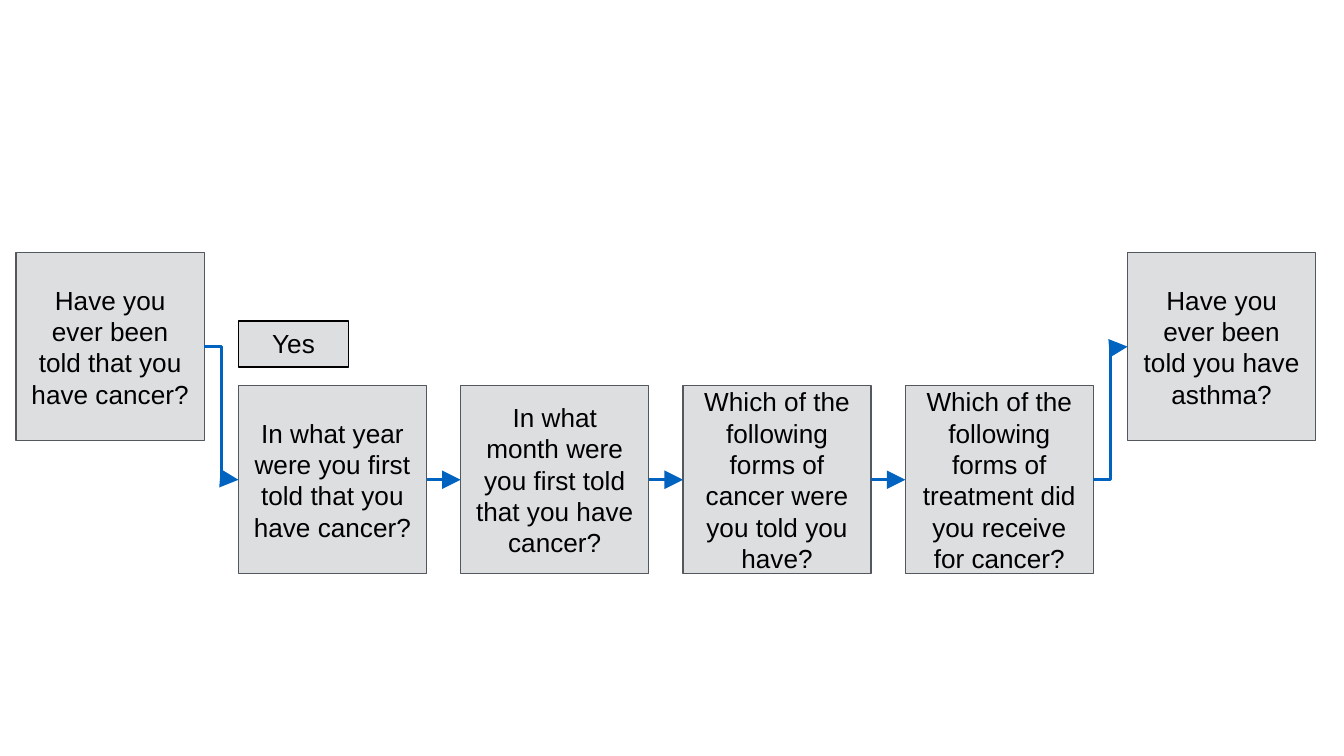
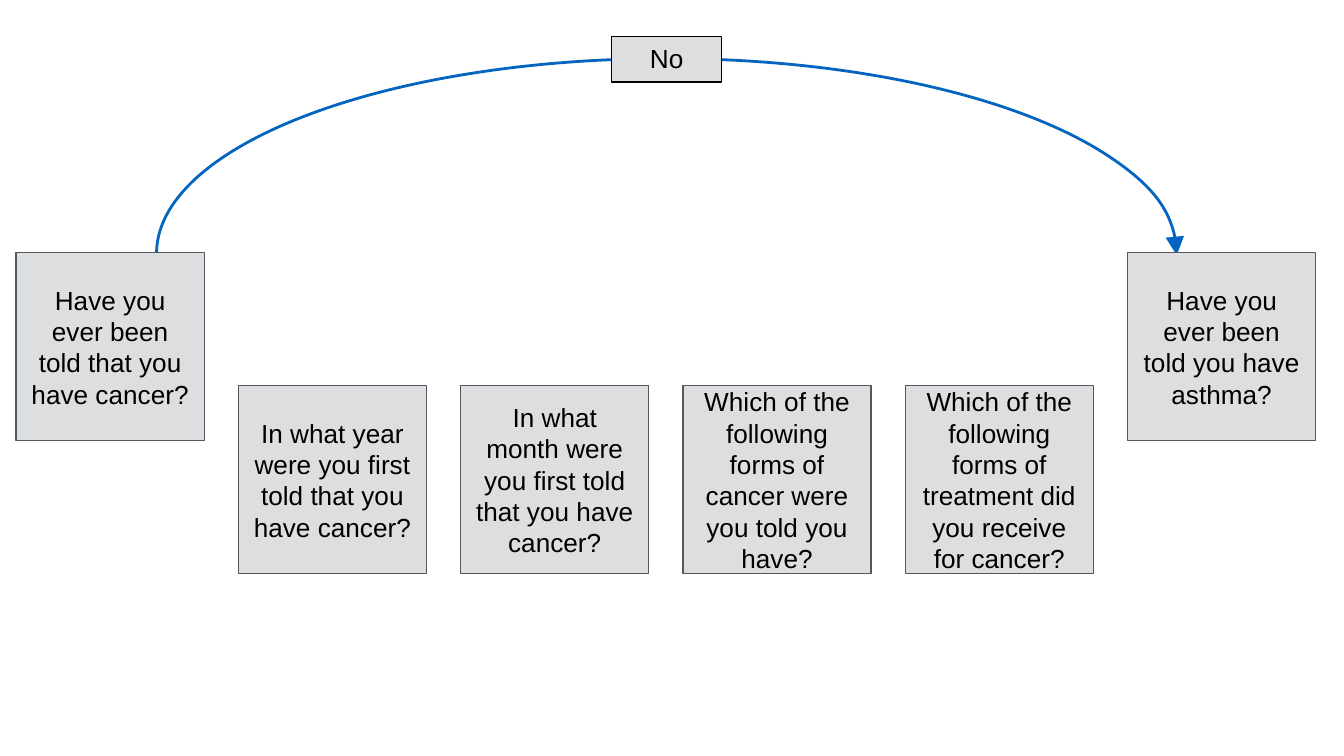
from dataclasses import dataclass
from itertools import pairwise

from lxml.etree import SubElement
from pptx import Presentation
from pptx.dml.color import RGBColor
from pptx.dml.line import LineFormat
from pptx.enum.shapes import MSO_CONNECTOR as Connector, MSO_SHAPE as Shape
from pptx.enum.text import MSO_ANCHOR as Anchor, MSO_AUTO_SIZE as AutoSize, PP_ALIGN as Align
from pptx.oxml.ns import qn
from pptx.shapes.autoshape import Shape as AutoShape
from pptx.slide import Slide
from pptx.util import Inches, Pt

SLIDE_WIDTH = 10
SLIDE_HEIGHT = SLIDE_WIDTH * 9 / 16

FONT = "Arial"
BOX_FILL = "DCDEE0"
BOX_EDGE = "53585F"
BLACK = "000000"
ARROW_BLUE = "0063BF"
ARC_BLUE = "0365C0"

BOX_SIZE = 1.4
FIRST_LEFT, LAST_LEFT = 0.12, 8.39
MAIN_TOP, FOLLOW_UP_TOP = 1.88, 2.87
LEFT_SITE, RIGHT_SITE = 1, 3


@dataclass(frozen=True)
class Question:
    text: str
    top: float = FOLLOW_UP_TOP


QUESTIONS = [
    Question("Have you ever been told that you have cancer?", MAIN_TOP),
    Question("In what year were you first told that you have cancer?"),
    Question("In what month were you first told that you have cancer?"),
    Question("Which of the following forms of cancer were you told you have?"),
    Question("Which of the following forms of treatment did you receive for cancer?"),
    Question("Have you ever been told you have asthma?", MAIN_TOP),
]
BOX_STEP = (LAST_LEFT - FIRST_LEFT) / (len(QUESTIONS) - 1)


def rgb(value: str) -> RGBColor:
    return RGBColor.from_string(value)


def set_line(line: LineFormat, color: str, width: float, arrow: bool = False) -> None:
    line.color.rgb = rgb(color)
    line.width = Pt(width)
    if arrow:
        SubElement(line._get_or_add_ln(), qn("a:tailEnd"),
                   type="triangle", w="lg", len="lg")


def write_text(shape: AutoShape, text: str, *, size: float = 14, color: str = BLACK,
               anchor: Anchor = Anchor.MIDDLE, margin_y: float = 0.1) -> None:
    frame = shape.text_frame
    frame.word_wrap = True
    frame.vertical_anchor = anchor
    frame.margin_left = frame.margin_right = Inches(0.1)
    frame.margin_top = frame.margin_bottom = Inches(margin_y)
    paragraph = frame.paragraphs[0]
    paragraph.text = text
    paragraph.alignment = Align.CENTER
    paragraph.font.name = FONT
    paragraph.font.size = Pt(size)
    paragraph.font.color.rgb = rgb(color)


def add_box(slide: Slide, left: float, top: float, width: float, height: float,
            edge: str) -> AutoShape:
    box = slide.shapes.add_shape(Shape.RECTANGLE, Inches(left), Inches(top),
                                 Inches(width), Inches(height))
    box.shadow.inherit = False
    box.fill.solid()
    box.fill.fore_color.rgb = rgb(BOX_FILL)
    set_line(box.line, edge, 0.75)
    return box


def add_questions(slide: Slide) -> list[AutoShape]:
    boxes = []
    for index, question in enumerate(QUESTIONS):
        box = add_box(slide, FIRST_LEFT + index * BOX_STEP, question.top,
                      BOX_SIZE, BOX_SIZE, BOX_EDGE)
        write_text(box, question.text)
        boxes.append(box)
    return boxes


def add_answer(slide: Slide, text: str, left: float, top: float) -> None:
    answer = add_box(slide, left, top, 0.82, 0.34, BLACK)
    write_text(answer, text, anchor=Anchor.TOP, margin_y=0.05)
    answer.text_frame.auto_size = AutoSize.SHAPE_TO_FIT_TEXT


def add_arrow(slide: Slide, source: AutoShape, target: AutoShape) -> None:
    """Join two neighbours, with an elbow where their heights differ."""
    kind = Connector.STRAIGHT if source.top == target.top else Connector.ELBOW
    arrow = slide.shapes.add_connector(kind, 0, 0, 0, 0)
    arrow.begin_connect(source, RIGHT_SITE)
    arrow.end_connect(target, LEFT_SITE)
    set_line(arrow.line, ARROW_BLUE, 1.5, arrow=True)
    SubElement(arrow._element.spPr, qn("a:effectLst"))


def add_skip_arc(slide: Slide) -> None:
    """Draw the half ellipse that leads past the follow-up questions."""
    arc = slide.shapes.add_shape(Shape.ARC, Inches(3.51), Inches(-1.91),
                                 Inches(2.9), Inches(7.59))
    arc.rotation = 270
    arc.adjustments[0] = 162
    arc.adjustments[1] = 54.12
    arc.fill.background()
    set_line(arc.line, ARC_BLUE, 1.5, arrow=True)
    arc.shadow.inherit = False


def build_yes_slide(slide: Slide) -> None:
    boxes = add_questions(slide)
    for source, target in pairwise(boxes):
        add_arrow(slide, source, target)
    add_answer(slide, "Yes", FIRST_LEFT + BOX_STEP, 2.39)


def build_no_slide(slide: Slide) -> None:
    add_skip_arc(slide)
    add_questions(slide)
    add_answer(slide, "No", 4.55, 0.27)


def main() -> None:
    deck = Presentation()
    deck.slide_width, deck.slide_height = Inches(SLIDE_WIDTH), Inches(SLIDE_HEIGHT)
    blank = deck.slide_layouts[6]
    for build in (build_yes_slide, build_no_slide):
        build(deck.slides.add_slide(blank))
    deck.save("out.pptx")


if __name__ == "__main__":
    main()
